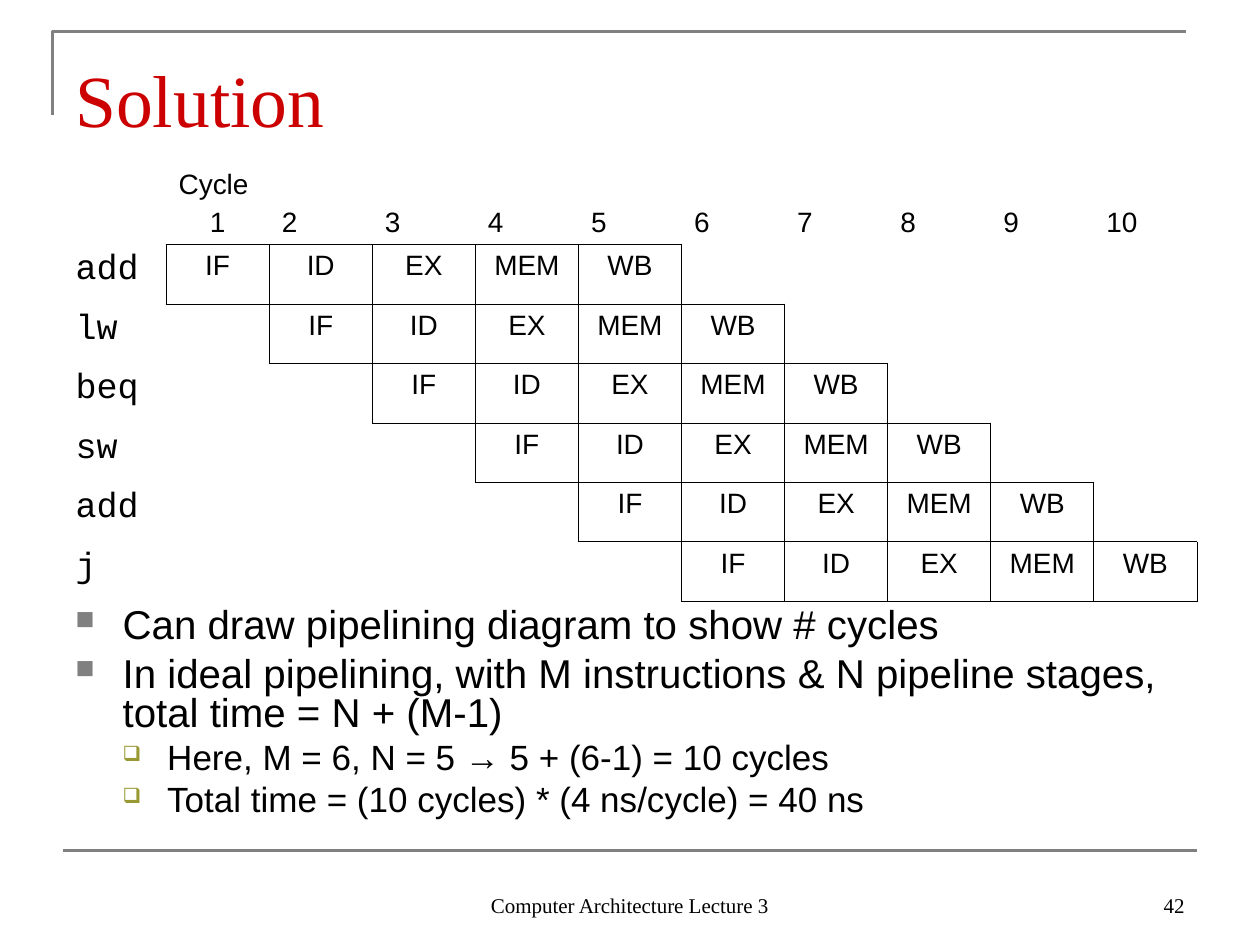
from lxml.etree import SubElement
from pptx import Presentation
from pptx.dml.color import RGBColor
from pptx.enum.shapes import MSO_CONNECTOR
from pptx.enum.text import MSO_ANCHOR, PP_ALIGN
from pptx.oxml.ns import qn
from pptx.util import Pt


class Theme:
    red, black, gray, olive = "CC0000", "000000", "808080", "999933"
    serif, sans, mono = "Times New Roman", "Arial", "Courier New"
    title, main, sub, code, cell, foot = 42, 23, 20, 20, 16, 12


def add_run(para, text, size, font, color=Theme.black):
    run = para.add_run()
    run.text = text
    run.font.size = Pt(size)
    run.font.name = font
    run.font.color.rgb = RGBColor.from_string(color)


def add_box(left, top, width, height, anchor, inset=3.6):
    box = slide.shapes.add_textbox(Pt(left), Pt(top), Pt(width), Pt(height))
    frame = box.text_frame
    frame.word_wrap = True
    frame.vertical_anchor = anchor
    frame.margin_top = Pt(inset)
    return frame


deck = Presentation()
deck.slide_width, deck.slide_height = Pt(720), Pt(540)
slide = deck.slides.add_slide(deck.slide_layouts[6])

# Corner frame and bottom rule
pen = slide.shapes.build_freeform(Pt(30), Pt(66), scale=1.0)
pen.add_line_segments([(Pt(30), Pt(18)), (Pt(678), Pt(18))], close=False)
frame = pen.convert_to_shape()
frame.fill.background()
frame.shadow.inherit = False
rule = slide.shapes.add_connector(
    MSO_CONNECTOR.STRAIGHT, Pt(36), Pt(486), Pt(684), Pt(486))
SubElement(rule._element.spPr, qn("a:effectLst"))
for shape in (frame, rule):
    shape.line.color.rgb = RGBColor.from_string(Theme.gray)
    shape.line.width = Pt(1.5)

# Title
title = add_box(36, 21.6, 648, 56, MSO_ANCHOR.TOP, 9.5)
add_run(title.paragraphs[0], "Solution", Theme.title, Theme.serif, Theme.red)

# Bullets: level, text
notes = [
    (0, "Can draw pipelining diagram to show # cycles"),
    (0, "In ideal pipelining, with M instructions & N pipeline stages, "
        "total time = N + (M-1)"),
    (1, "Here, M = 6, N = 5 → 5 + (6-1) = 10 cycles"),
    (1, "Total time = (10 cycles) * (4 ns/cycle) = 40 ns"),
]
# Per level: text size, space before, left indent, hanging, mark, color, percent
looks = [
    (Theme.main, 5.8, 27, 27, "■", Theme.gray, 65),
    (Theme.sub, 5, 52.5, 25.5, "❑", Theme.olive, 60),
]
body = add_box(36, 342, 648, 140.4, MSO_ANCHOR.TOP, 5.9)
for i, (level, text) in enumerate(notes):
    size, space, left, hang, mark, color, part = looks[level]
    para = body.add_paragraph() if i else body.paragraphs[0]
    para.level = level
    props = para._p.get_or_add_pPr()
    props.set("marL", str(Pt(left)))
    props.set("indent", str(-Pt(hang)))
    SubElement(SubElement(props, qn("a:buClr")), qn("a:srgbClr"), val=color)
    SubElement(props, qn("a:buSzPct"), val=str(part * 1000))
    SubElement(props, qn("a:buChar"), char=mark)
    para.line_spacing = 0.8
    if i:
        para.space_before = Pt(space)
    add_run(para, text, size, Theme.sans)

# Footer and page number
for left, width, align, text in [
    (246, 228, PP_ALIGN.CENTER, "Computer Architecture Lecture 3"),
    (516, 168, PP_ALIGN.RIGHT, "42"),
]:
    para = add_box(left, 492, width, 36, MSO_ANCHOR.BOTTOM).paragraphs[0]
    para.alignment = align
    add_run(para, text, Theme.foot, Theme.serif)

# Pipeline table: each instruction starts one cycle after the last
codes = ["add", "lw", "beq", "sw", "add", "j"]
steps = ["IF", "ID", "EX", "MEM", "WB"]
count = len(codes) + len(steps) - 1
holder = slide.shapes.add_table(
    len(codes) + 1, count + 1, Pt(36), Pt(90), Pt(648), Pt(253.7))
table = holder.table
table.first_row = table.horz_banding = False
style = table._tbl.tblPr.find(qn("a:tableStyleId"))
style.text = "{2D5ABB26-0587-4C30-8999-92F81FD0307C}"
for col in table.columns:
    col.width = Pt(648 / (count + 1))
for i, row in enumerate(table.rows):
    row.height = Pt(34 if i else 49.7)

# Cycle numbers
for num in range(1, count + 1):
    cell = table.cell(0, num)
    cell.vertical_anchor = MSO_ANCHOR.BOTTOM
    para = cell.text_frame.paragraphs[0]
    if num == 1:
        add_run(para, "Cycle", Theme.cell, Theme.sans)
        para = cell.text_frame.add_paragraph()
        para.alignment = PP_ALIGN.CENTER
        para.space_before = Pt(4)
    add_run(para, str(num), Theme.cell, Theme.sans)

# Instructions and their boxed stages
for i, code in enumerate(codes, 1):
    add_run(table.cell(i, 0).text_frame.paragraphs[0],
            code, Theme.code, Theme.mono)
    for j, step in enumerate(steps):
        cell = table.cell(i, i + j)
        para = cell.text_frame.paragraphs[0]
        para.alignment = PP_ALIGN.CENTER
        add_run(para, step, Theme.cell, Theme.sans)
        props = cell._tc.get_or_add_tcPr()
        for side in "LRTB":
            edge = SubElement(props, qn("a:ln" + side), w=str(Pt(0.45)))
            fill = SubElement(edge, qn("a:solidFill"))
            SubElement(fill, qn("a:srgbClr"), val=Theme.black)
for cell in table.iter_cells():
    cell.fill.background()

deck.save("out.pptx")
